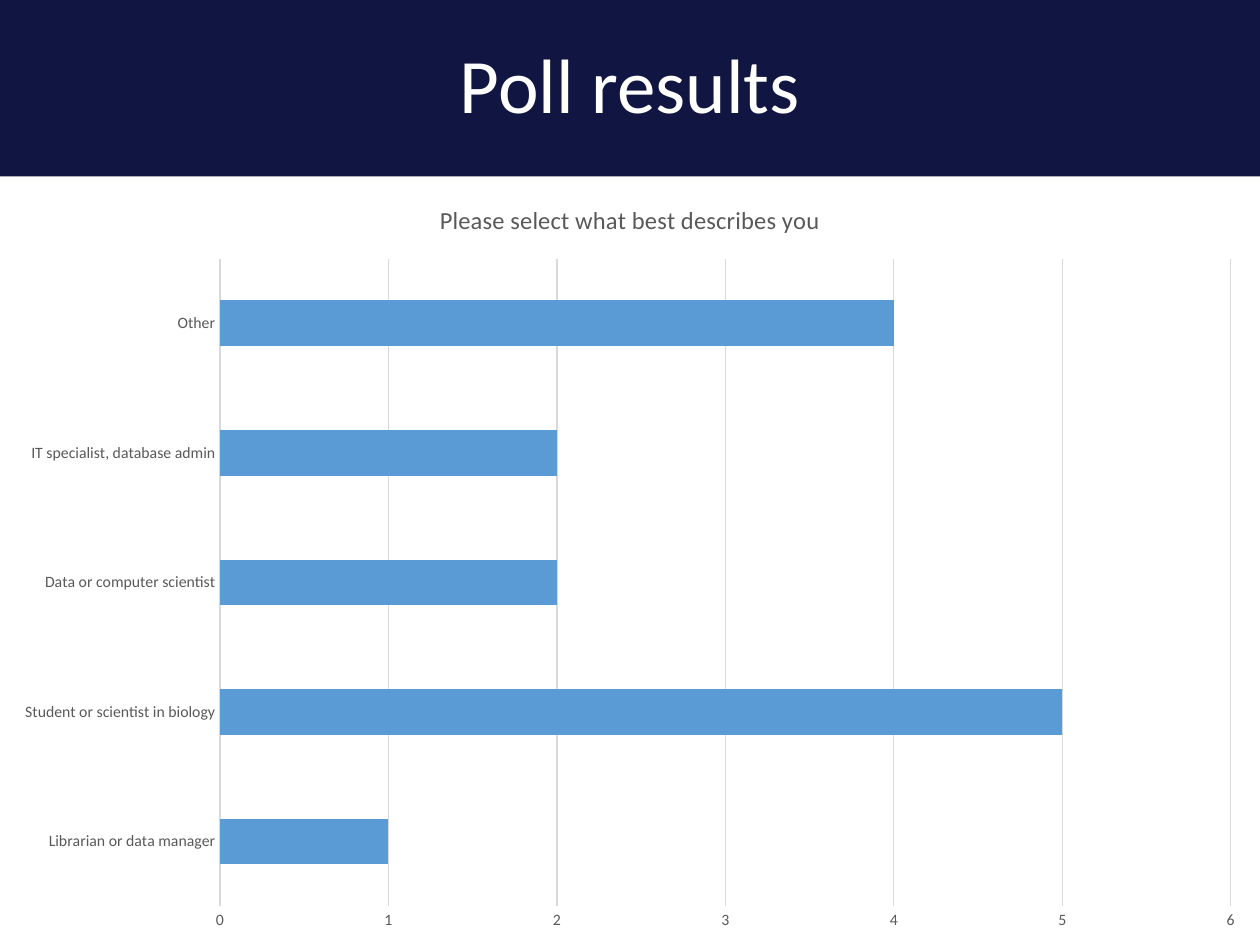
from pptx import Presentation
from pptx.chart.data import CategoryChartData as Data
from pptx.dml.color import RGBColor
from pptx.enum.chart import XL_CHART_TYPE as Kind, XL_TICK_MARK as Tick
from pptx.enum.shapes import MSO_SHAPE as Shape
from pptx.enum.text import MSO_ANCHOR as Anchor, PP_ALIGN as Align
from pptx.util import Inches, Pt


def paint(fmt, color):
    fmt.solid()
    fmt.fore_color.rgb = RGBColor.from_string(color)


def write(frame, text, size=14, color="595959", space=None):
    frame.text = text
    para = frame.paragraphs[0]
    para.alignment = Align.CENTER
    para.line_spacing = space
    font = para.runs[0].font
    font.name, font.size, font.bold = "Calibri", Pt(size), False
    paint(font.fill, color)


deck = Presentation()
deck.slide_width, deck.slide_height = Inches(10), Inches(7.5)
slide = deck.slides.add_slide(deck.slide_layouts[5])
top = Inches(1.4)

# Header band, behind the title
band = slide.shapes.add_shape(Shape.RECTANGLE, 0, 0, deck.slide_width, top)
band.shadow.inherit = False
paint(band.fill, "111541")
band.line.fill.background()
title = slide.shapes.title
band._element.getparent().insert(2, band._element)

# Title
title.left, title.top, title.width, title.height = 0, 0, deck.slide_width, top
title.text_frame.vertical_anchor = Anchor.MIDDLE
write(title.text_frame, "Poll results", size=44, color="FFFFFF", space=0.9)

# Poll answers
polls = {
    "Librarian or data manager": 1,
    "Student or scientist in biology": 5,
    "Data or computer scientist": 2,
    "IT specialist, database admin": 2,
    "Other": 4,
}
data = Data(number_format="General")
data.categories = list(polls)
data.add_series("Series 1", list(polls.values()))

# Bar chart
chart = slide.shapes.add_chart(
    Kind.BAR_CLUSTERED, 0, top, deck.slide_width, deck.slide_height - top, data
).chart
chart.font.name, chart.font.size = "Calibri", Pt(10)
chart.has_legend = False
chart.has_title = True
write(chart.chart_title.text_frame, "Please select what best describes you")
chart.chart_title.include_in_layout = False

plot = chart.plots[0]
plot.gap_width = 182
plot.vary_by_categories = False
paint(plot.series[0].format.fill, "5B9BD5")

# Axes and grid
names, scale = chart.category_axis, chart.value_axis
for axis in (names, scale):
    axis.major_tick_mark = axis.minor_tick_mark = Tick.NONE
    font = axis.tick_labels.font
    font.name, font.size = "Calibri", Pt(9)
    paint(font.fill, "595959")

scale.minimum_scale, scale.maximum_scale, scale.major_unit = 0, 6, 1
scale.has_major_gridlines = True
scale.format.line.fill.background()
for line in (names.format.line, scale.major_gridlines.format.line):
    paint(line.fill, "D9D9D9")
    line.width = Pt(0.75)

deck.save("out.pptx")
